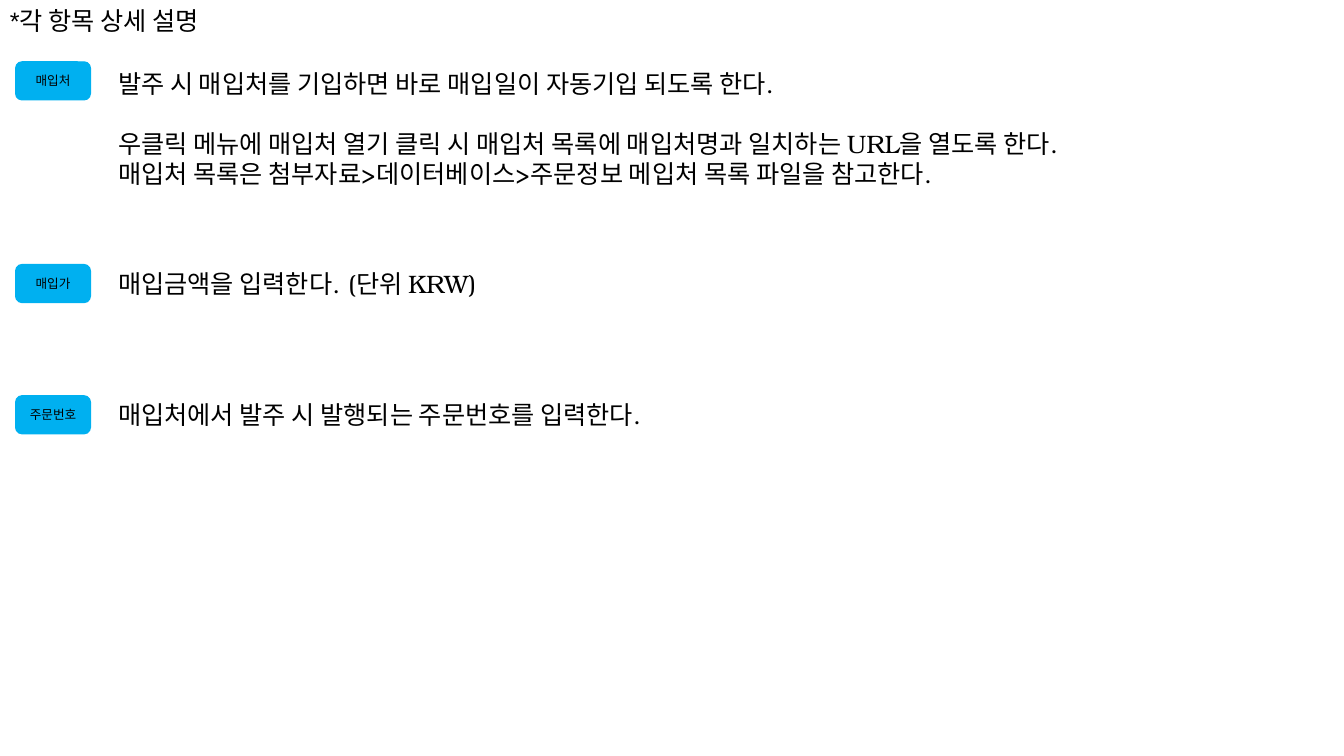
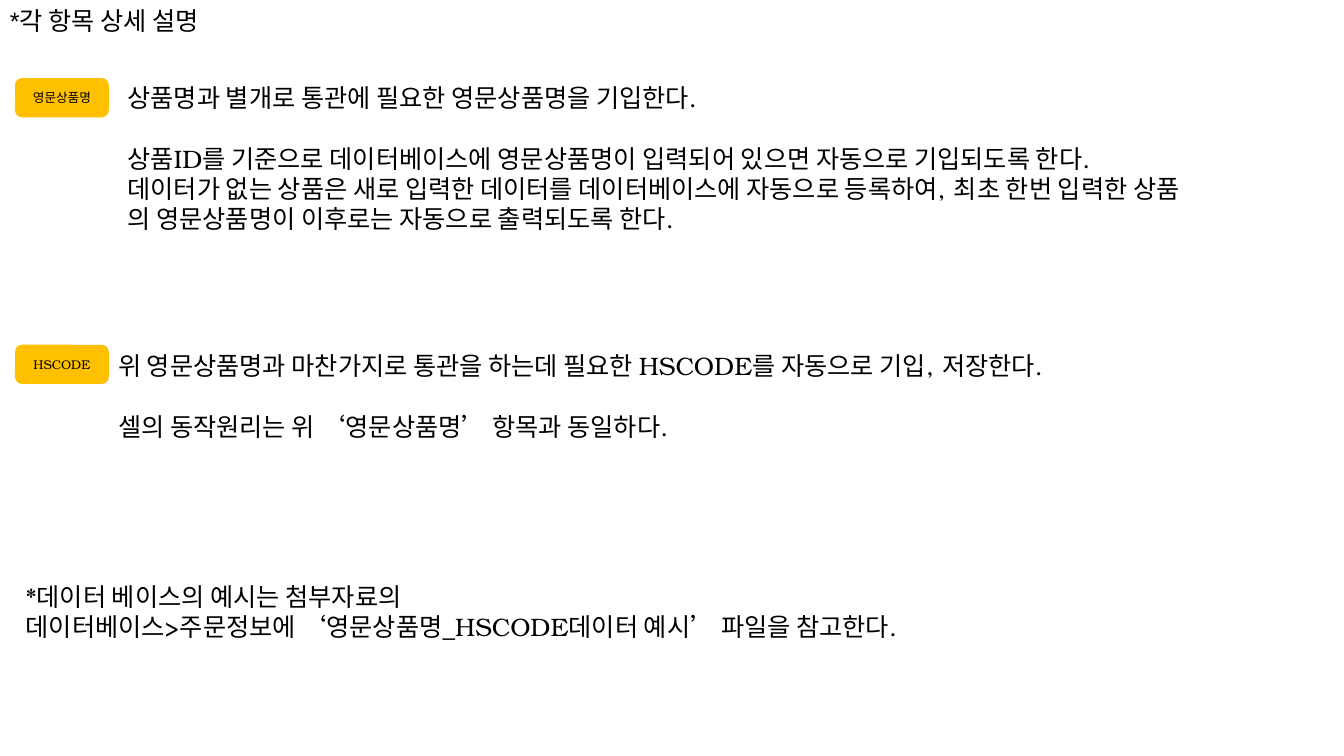
from dataclasses import dataclass

from pptx import Presentation
from pptx.dml.color import RGBColor
from pptx.enum.shapes import MSO_SHAPE
from pptx.enum.text import MSO_ANCHOR, PP_ALIGN
from pptx.util import Emu, Pt

ROUNDED = MSO_SHAPE.ROUNDED_RECTANGLE
MIDDLE, CENTER = MSO_ANCHOR.MIDDLE, PP_ALIGN.CENTER
PX = 9525
SLIDE_W, SLIDE_H = 1280, 720
TAG_LEFT, TAG_H = 15, 36
LINE_H, TEXT_PAD = 29, 9


@dataclass(frozen=True)
class Theme:
    title_font: str = "Arial"
    body_font: str = "TeX Gyre Bonum"
    text: str = "000000"
    blue: str = "00B0F0"
    amber: str = "FFC000"
    body_pt: float = 18
    tag_pt: float = 9
    block_gap_pt: float = 21.6


THEME = Theme()
TITLE = "*각 항목 상세 설명"

# tags: (top, label); texts: (left, top, blocks), each block a list of paragraphs
SLIDES = [
    {
        "color": THEME.blue,
        "tag_w": 71,
        "tags": [(59, "매입처"), (252, "매입가"), (377, "주문번호")],
        "texts": [
            (103, 60, [
                ["발주 시 매입처를 기입하면 바로 매입일이 자동기입 되도록 한다."],
                ["우클릭 메뉴에 매입처 열기 클릭 시 매입처 목록에 매입처명과 일치하는 URL을 열도록 한다.",
                 "매입처 목록은 첨부자료>데이터베이스>주문정보 메입처 목록 파일을 참고한다."],
            ]),
            (103, 251, [["매입금액을 입력한다. (단위 KRW)"]]),
            (103, 376, [["매입처에서 발주 시 발행되는 주문번호를 입력한다."]]),
        ],
    },
    {
        "color": THEME.amber,
        "tag_w": 88,
        "tags": [(75, "영문상품명"), (329, "HSCODE")],
        "texts": [
            (112, 74, [
                ["상품명과 별개로 통관에 필요한 영문상품명을 기입한다."],
                ["상품ID를 기준으로 데이터베이스에 영문상품명이 입력되어 있으면 자동으로 기입되도록 한다.",
                 "데이터가 없는 상품은 새로 입력한 데이터를 데이터베이스에 자동으로 등록하여, "
                 "최초 한번 입력한 상품\n의 영문상품명이 이후로는 자동으로 출력되도록 한다."],
            ]),
            (103, 329, [
                ["위 영문상품명과 마찬가지로 통관을 하는데 필요한 HSCODE를 자동으로 기입, 저장한다."],
                ["셀의 동작원리는 위 ‘영문상품명’ 항목과 동일하다."],
            ]),
            (15, 549, [
                ["*데이터 베이스의 예시는 첨부자료의",
                 "데이터베이스>주문정보에 ‘영문상품명_HSCODE데이터 예시’ 파일을 참고한다."],
            ]),
        ],
    },
]


def px(*values):
    return [Emu(v * PX) for v in values]


def add_run(p, text, font, size):
    r = p.add_run()
    r.text = text
    r.font.name = font
    r.font.size = Pt(size)
    r.font.color.rgb = RGBColor.from_string(THEME.text)


def add_text(slide, left, top, blocks, font=THEME.body_font):
    """Write blocks of paragraphs, one empty line's height apart."""
    line_count = len(blocks) - 1 + sum(
        text.count("\n") + 1 for block in blocks for text in block)
    height = line_count * LINE_H + TEXT_PAD
    tf = slide.shapes.add_textbox(*px(left, top, SLIDE_W - left, height)).text_frame
    tf.word_wrap = True
    p = None
    for block in blocks:
        for i, text in enumerate(block):
            new_block = p is not None and i == 0
            p = tf.paragraphs[0] if p is None else tf.add_paragraph()
            if new_block:
                p.space_before = Pt(THEME.block_gap_pt)
            for j, line in enumerate(text.split("\n")):
                if j:
                    p.add_line_break()
                add_run(p, line, font, THEME.body_pt)


def add_tag(slide, top, width, label, color):
    sp = slide.shapes.add_shape(ROUNDED, *px(TAG_LEFT, top, width, TAG_H))
    sp.shadow.inherit = False
    sp.fill.solid()
    sp.fill.fore_color.rgb = RGBColor.from_string(color)
    sp.line.color.rgb = RGBColor.from_string(color)
    sp.line.width = Pt(1)
    tf = sp.text_frame
    tf.vertical_anchor = MIDDLE
    p = tf.paragraphs[0]
    p.alignment = CENTER
    add_run(p, label, THEME.body_font, THEME.tag_pt)


def main():
    prs = Presentation()
    prs.slide_width, prs.slide_height = px(SLIDE_W, SLIDE_H)
    blank = prs.slide_layouts[6]
    for content in SLIDES:
        s = prs.slides.add_slide(blank)
        add_text(s, 0, 0, [[TITLE]], THEME.title_font)
        for top, label in content["tags"]:
            add_tag(s, top, content["tag_w"], label, content["color"])
        for left, top, blocks in content["texts"]:
            add_text(s, left, top, blocks)
    prs.save("out.pptx")


if __name__ == "__main__":
    main()
